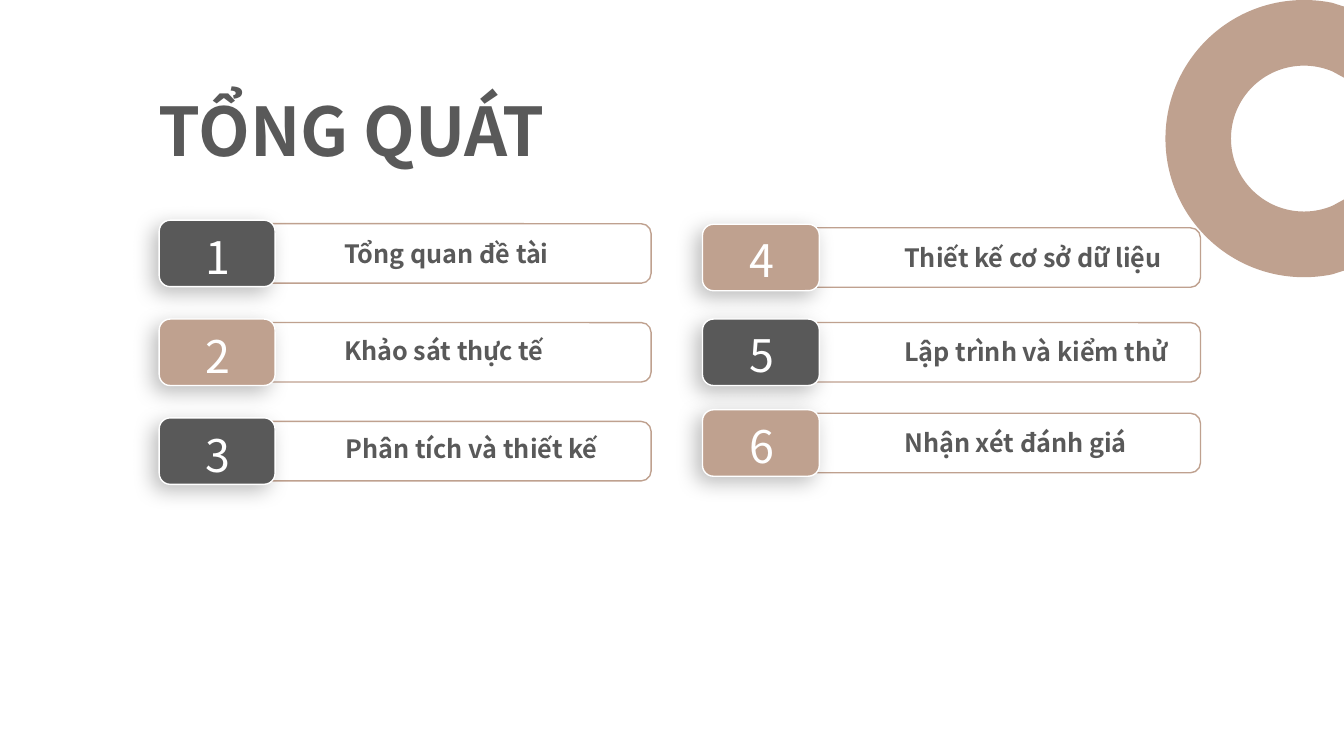
from lxml import etree
from pptx import Presentation, util as u
from pptx.dml.color import RGBColor
from pptx.enum import shapes, text
from pptx.oxml import ns

TITLE = "TỔNG QUÁT"
COLS = [
    {"left": 126.7, "width": 338.4, "badge": 82.8, "label": 234.7, "drop": 2.9,
     "items": [("1", "Tổng quan đề tài", 159.8, 163.4, 230.4, 34.6),
               ("2", "Khảo sát thực tế", 230.4, 232.6, 246.2, 34.6),
               ("3", "Phân tích và thiết kế", 301, 301.7, 221, 59)]},
    {"left": 514.8, "width": 342.7, "badge": 83.5, "label": 633.6, "drop": 1.9,
     "items": [("4", "Thiết kế cơ sở dữ liệu", 162.7, 164.9, 223.9, 59),
               ("5", "Lập trình và kiểm thử", 230.4, 232.6, 223.9, 59),
               ("6", "Nhận xét đánh giá", 295.2, 297.4, 223.9, 59)]},
]
THEME = {"font": "Noto Sans CJK SC", "dark": "595959", "tan": "BFA18F",
         "white": "FFFFFF", "title": 48, "label": 18, "number": 32}
WIDE, HIGH = 960, 540
BAR, BADGE, SHIFT = 42.5, 47.5, 13
NUMBER = (40, 41.8)
MID = 99
HALF = [(832.5, 99), (832.5, 44.3), (876.8, 0), (931.5, 0),
        (938.3, 0), (945, 0.7), (951.5, 2), (960, 4.7), (960, 55.5),
        (951.8, 51), (945.6, 48.4), (938.7, 46.9), (931.5, 46.9),
        (902.6, 46.9), (879.3, 70.2), (879.3, 99)]
KINDS = "CCLLLCC" * 2


def tint(name):
    return RGBColor.from_string(THEME[name])


def write(shape, words, size, color, bold, align, anchor, pads):
    frame = shape.text_frame
    frame.word_wrap = True
    frame.auto_size = text.MSO_AUTO_SIZE.SHAPE_TO_FIT_TEXT
    frame.vertical_anchor = anchor
    frame.margin_left = frame.margin_right = u.Pt(pads[0])
    frame.margin_top = frame.margin_bottom = u.Pt(pads[1])
    para = frame.paragraphs[0]
    para.text = words
    para.alignment = align
    font = para.font
    font.name, font.size, font.bold = THEME["font"], u.Pt(THEME[size]), bold
    font.color.rgb = tint(color)


def box(group, left, top, width, height, fill=None, line=None):
    shape = group.shapes.add_shape(shapes.MSO_SHAPE.ROUNDED_RECTANGLE,
                                   *map(u.Pt, (left, top, width, height)))
    shape.shadow.inherit = False
    if fill:
        shape.fill.solid()
        shape.fill.fore_color.rgb = tint(fill)
    else:
        shape.fill.background()
    if line:
        shape.line.color.rgb = tint(line)
        shape.line.width = u.Pt(1)
    else:
        shape.line.fill.background()
    return shape


def shade(shape):
    effects = shape.element.spPr.find(ns.qn("a:effectLst"))
    outer = etree.SubElement(effects, ns.qn("a:outerShdw"), blurRad=str(u.Pt(15)),
                             dist=str(u.Pt(6)), dir=str(135 * 60000),
                             algn="tr", rotWithShape="0")
    color = etree.SubElement(outer, ns.qn("a:srgbClr"), val="000000")
    etree.SubElement(color, ns.qn("a:alpha"), val="25000")


def bend(shape):
    lines = iter(list(shape.element.iter(ns.qn("a:lnTo"))))
    for kind in KINDS:
        first = next(lines)
        if kind == "C":
            first.tag = ns.qn("a:cubicBezTo")
            for other in (next(lines), next(lines)):
                first.append(other[0])
                other.getparent().remove(other)


def ring(slide):
    lower = [(x, 2 * MID - y) for x, y in HALF[-2::-1]]
    points = [(round(x * 100), round(y * 100)) for x, y in HALF + lower]
    pen = slide.shapes.build_freeform(*points[0], scale=u.Pt(1) / 100)
    pen.add_line_segments(points[1:], close=True)
    shape = pen.convert_to_shape()
    bend(shape)
    shape.shadow.inherit = False
    shape.fill.solid()
    shape.fill.fore_color.rgb = tint("tan")
    shape.line.fill.background()


def entry(slide, col, number, label, top, rise, width, height):
    align, anchor = text.PP_ALIGN, text.MSO_ANCHOR
    group = slide.shapes.add_group_shape()
    box(group, col["left"], top, col["width"], BAR, line="tan")
    name = box(group, col["label"], rise, width, height)
    write(name, label, "label", "dark", True, align.LEFT, anchor.TOP, (9.4, 5))
    fill = "dark" if int(number) % 2 else "tan"
    left = col["left"] - SHIFT
    shade(box(group, left, top - (BADGE - BAR) / 2, col["badge"], BADGE, fill, "white"))
    digit = box(group, left + (col["badge"] - NUMBER[0]) / 2 + 0.7,
                top + col["drop"], *NUMBER)
    write(digit, number, "number", "white", False, align.CENTER, anchor.MIDDLE, (0, 0))


def main():
    deck = Presentation()
    deck.slide_width, deck.slide_height = u.Pt(WIDE), u.Pt(HIGH)
    slide = deck.slides.add_slide(deck.slide_layouts[6])
    ring(slide)
    title = slide.shapes.add_textbox(*map(u.Pt, (106.2, 60.2, 307.4, 65.5)))
    write(title, TITLE, "title", "dark", True, text.PP_ALIGN.LEFT,
          text.MSO_ANCHOR.TOP, (7.2, 3.6))
    title.text_frame.word_wrap = False
    for col in COLS:
        for item in col["items"]:
            entry(slide, col, *item)
    deck.save("out.pptx")


if __name__ == "__main__":
    main()
